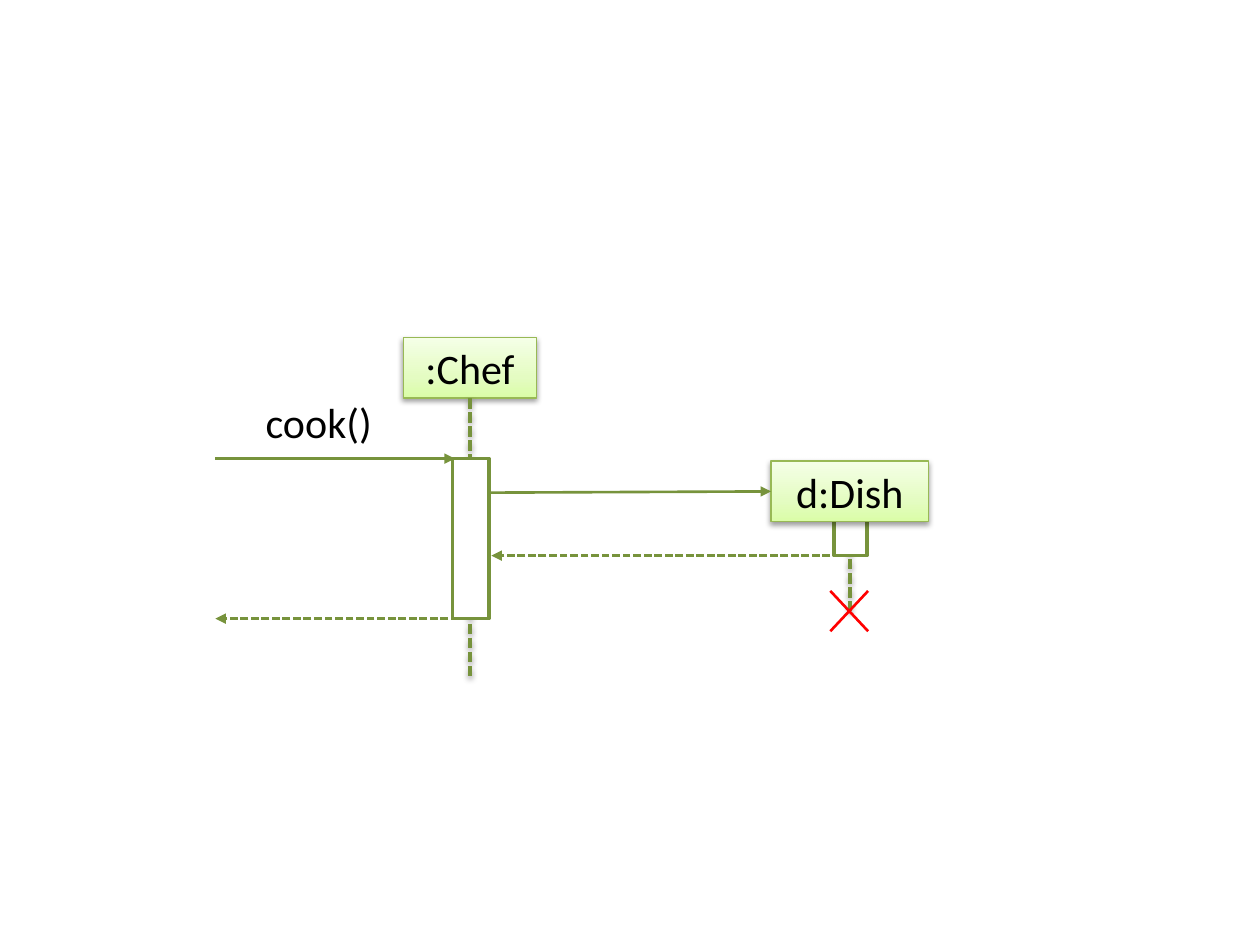
from lxml.etree import SubElement
from pptx import Presentation
from pptx.dml.color import RGBColor
from pptx.enum.dml import MSO_LINE
from pptx.enum.shapes import MSO_CONNECTOR, MSO_SHAPE
from pptx.enum.text import MSO_ANCHOR, MSO_AUTO_SIZE, PP_ALIGN
from pptx.oxml.ns import qn
from pptx.util import Inches, Pt

GREEN = RGBColor(0x77, 0x93, 0x3C)
BORDER = RGBColor(0x98, 0xB9, 0x55)
RED = RGBColor(0xFF, 0x00, 0x00)
BLACK = RGBColor(0x00, 0x00, 0x00)
WHITE = RGBColor(0xFF, 0xFF, 0xFF)
GRADIENT = (
    (0, RGBColor(0xDA, 0xFD, 0xA7)),
    (35, RGBColor(0xE4, 0xFC, 0xC2)),
    (100, RGBColor(0xF5, 0xFF, 0xE7)),
)


def add_shadow(effects):
    """Add a soft downward shadow to an effect list."""
    shadow = SubElement(effects, qn("a:outerShdw"), blurRad="40000", dist="20000",
                        dir="5400000", rotWithShape="0")
    color = SubElement(shadow, qn("a:srgbClr"), val=str(BLACK))
    SubElement(color, qn("a:alpha"), val="38000")


def add_line(shapes, start, end, color=GREEN, width=1.5, dashed=False,
             arrow=False, shadow=False):
    """Draw a straight line between two points given in inches."""
    line = shapes.add_connector(MSO_CONNECTOR.STRAIGHT,
                                *(Inches(value) for value in (*start, *end)))
    line.line.color.rgb = color
    line.line.width = Pt(width)
    if dashed:
        line.line.dash_style = MSO_LINE.SQUARE_DOT
    if arrow:
        SubElement(line.line._get_or_add_ln(), qn("a:tailEnd"), type="triangle")
    effects = SubElement(line._element.spPr, qn("a:effectLst"))
    if shadow:
        add_shadow(effects)
    return line


def add_rectangle(slide, left, top, width, height, line_color, line_width):
    """Draw an outlined rectangle without a shadow."""
    shape = slide.shapes.add_shape(
        MSO_SHAPE.RECTANGLE,
        *(Inches(value) for value in (left, top, width, height)))
    shape.shadow.inherit = False
    shape.line.color.rgb = line_color
    shape.line.width = Pt(line_width)
    return shape


def write_text(shape, text, alignment):
    """Write one run of diagram text in a shape."""
    frame = shape.text_frame
    frame.word_wrap = True
    frame.auto_size = MSO_AUTO_SIZE.SHAPE_TO_FIT_TEXT
    paragraph = frame.paragraphs[0]
    paragraph.alignment = alignment
    run = paragraph.add_run()
    run.text = text
    run.font.name = "Calibri"
    run.font.size = Pt(24)
    run.font.color.rgb = BLACK


def add_object(slide, text, left, top, width, height=0.48):
    """Draw the head box of a lifeline."""
    shape = add_rectangle(slide, left, top, width, height, BORDER, 0.75)
    shape.fill.gradient()
    shape.fill.gradient_angle = 90
    properties = shape._element.spPr
    stops = properties.find(qn("a:gradFill")).find(qn("a:gsLst"))
    for stop in list(stops):
        stops.remove(stop)
    for position, color in GRADIENT:
        stop = SubElement(stops, qn("a:gs"), pos=str(position * 1000))
        SubElement(stop, qn("a:srgbClr"), val=str(color))
    add_shadow(properties.find(qn("a:effectLst")))
    frame = shape.text_frame
    frame.margin_left = frame.margin_right = Inches(0.04)
    frame.margin_top = frame.margin_bottom = Inches(0.04)
    frame.vertical_anchor = MSO_ANCHOR.TOP
    write_text(shape, text, PP_ALIGN.CENTER)
    return shape


def add_activation(slide, left, top, width, height):
    """Draw a white activation bar."""
    bar = add_rectangle(slide, left, top, width, height, GREEN, 2)
    bar.fill.solid()
    bar.fill.fore_color.rgb = WHITE


def add_cross(slide, left, top, width, height):
    """Draw the destruction mark as a group of two diagonals."""
    group = slide.shapes.add_group_shape()
    right, bottom = left + width, top + height
    add_line(group.shapes, (right, bottom), (left, top), RED)
    add_line(group.shapes, (right, top), (left, bottom), RED)


def add_chef(slide, left, top, width):
    """Draw the chef with its lifeline and activation."""
    head = add_object(slide, ":Chef", left, top, width)
    center = left + width / 2
    lifeline = add_line(slide.shapes, (center, top + 0.48), (center, top + 2.69),
                        width=2, dashed=True, shadow=True)
    lifeline.begin_connect(head, 2)
    add_activation(slide, left + 0.39, top + 0.96, 0.29, 1.27)


def add_dish(slide, left, top, width):
    """Draw the dish with its short lifeline, activation and end mark."""
    center = left + width / 2
    add_line(slide.shapes, (center, top + 0.44), (center, top + 1.19),
             width=2, dashed=True, shadow=True)
    add_cross(slide, left + 0.47, top + 1.03, 0.3, 0.32)
    add_activation(slide, left + 0.5, top + 0.44, 0.26, 0.31)
    return add_object(slide, "d:Dish", left, top, width)


def add_messages(slide, left, top, dish):
    """Draw the calls and returns between the lifelines."""
    label = slide.shapes.add_textbox(Inches(left + 0.3), Inches(top - 0.54),
                                     Inches(1.21), Inches(0.5))
    write_text(label, "cook()", PP_ALIGN.LEFT)
    add_line(slide.shapes, (left, top), (left + 1.9, top), arrow=True)
    create = add_line(slide.shapes, (left + 2.16, top + 0.27),
                      (left + 4.41, top + 0.26), arrow=True)
    create.end_connect(dish, 1)
    add_line(slide.shapes, (left + 4.88, top + 0.77), (left + 2.19, top + 0.77),
             dashed=True, arrow=True)
    add_line(slide.shapes, (left + 1.93, top + 1.27), (left, top + 1.27),
             dashed=True, arrow=True)


def main():
    """Build the sequence diagram slide."""
    presentation = Presentation()
    presentation.slide_width = Inches(10)
    presentation.slide_height = Inches(7.5)
    slide = presentation.slides.add_slide(presentation.slide_layouts[6])
    add_chef(slide, 3.2, 2.68, 1.06)
    dish = add_dish(slide, 6.12, 3.66, 1.25)
    add_messages(slide, 1.71, 3.64, dish)
    presentation.save("out.pptx")


if __name__ == "__main__":
    main()
